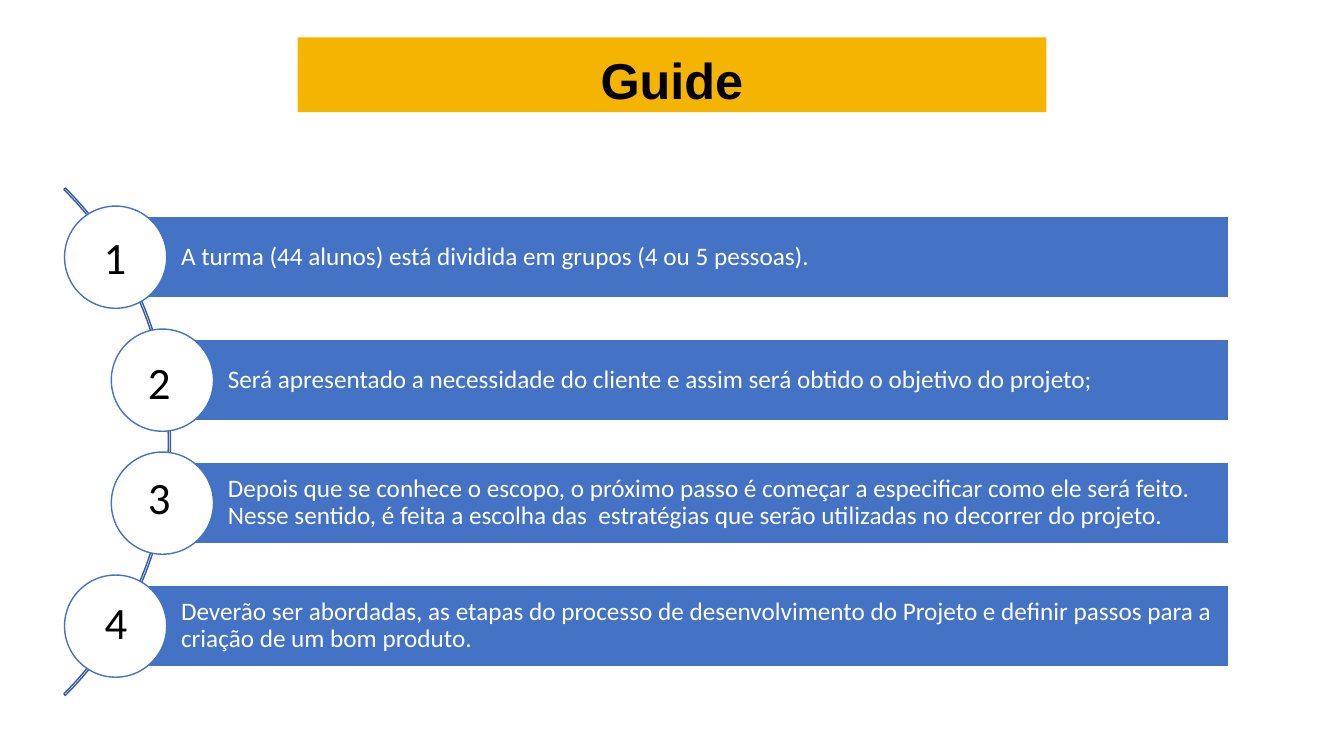
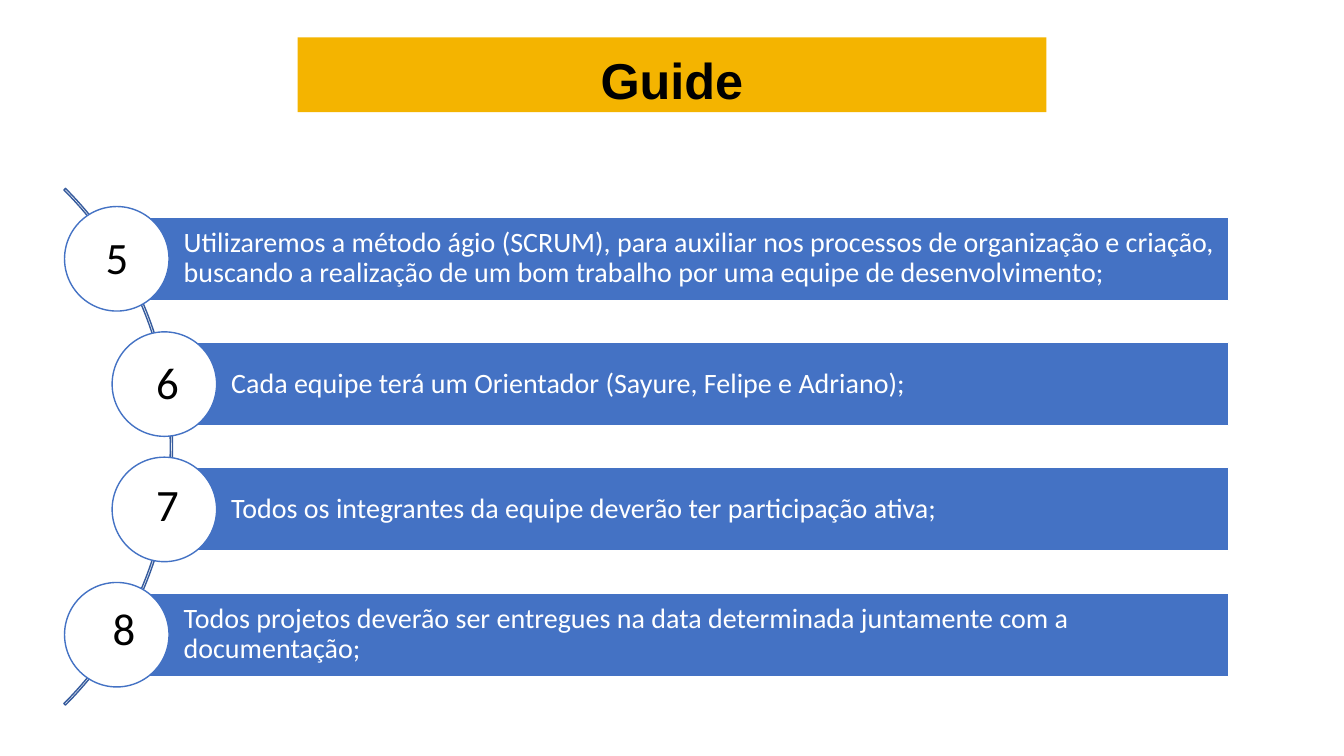
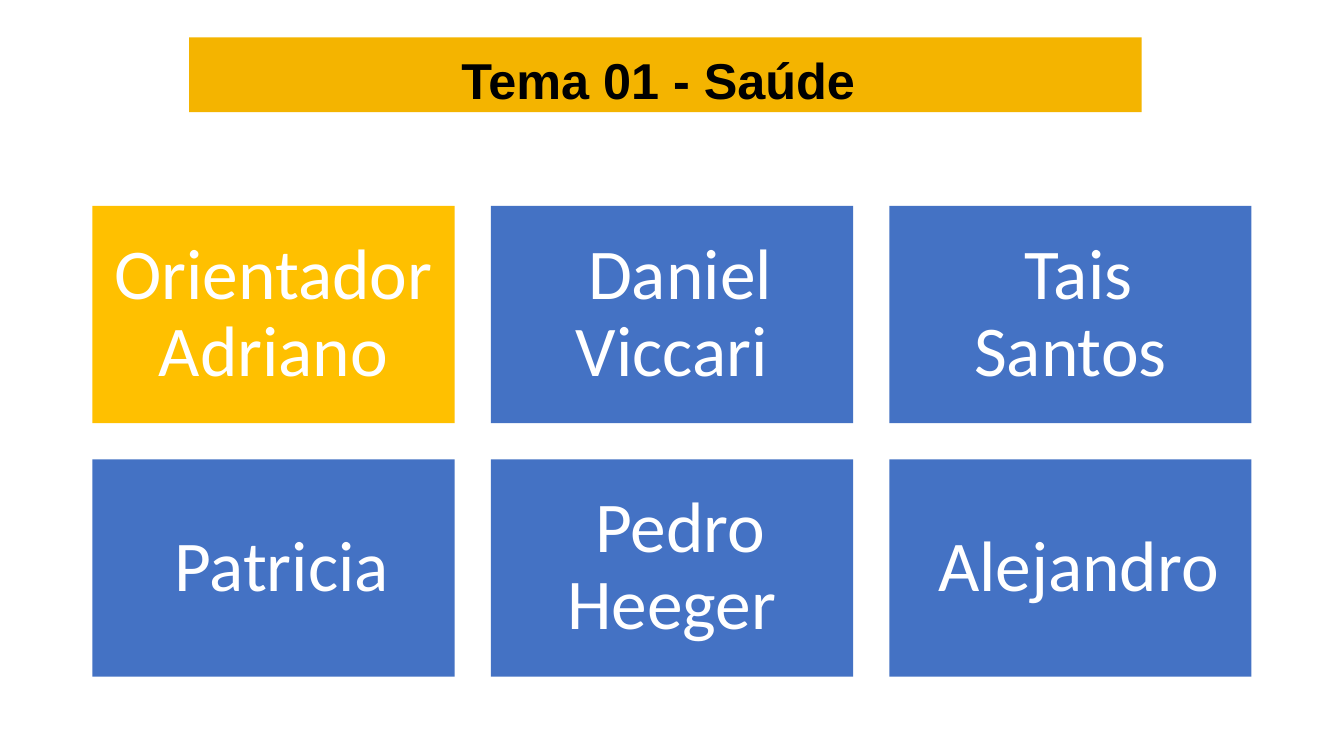
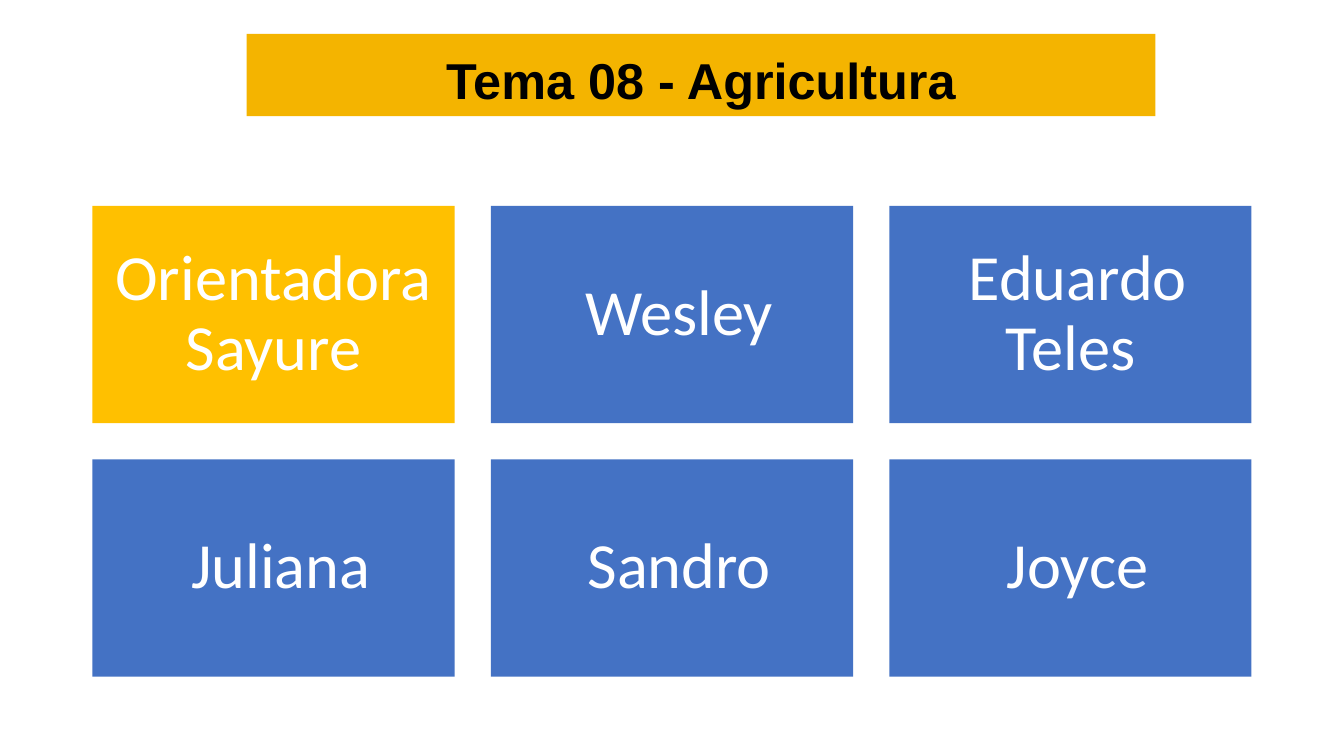
from pptx import Presentation
from pptx.dml.color import RGBColor
from pptx.enum.shapes import MSO_SHAPE
from pptx.enum.text import MSO_ANCHOR, MSO_AUTO_SIZE, PP_ALIGN
from pptx.util import Pt

COLORS = {
    "band": "F4B400", "blue": "4472C4", "gold": "FFC000",
    "arc": "365B9D", "white": "FFFFFF", "black": "000000",
}


def color(name):
    """Return the named colour."""
    return RGBColor.from_string(COLORS[name])


def write_text(shape, text, size, ink="white", font="Calibri", bold=False,
               align=PP_ALIGN.LEFT, spacing=1.0, anchor=MSO_ANCHOR.MIDDLE,
               insets=(7.2, 3.6, 7.2, 3.6), wrap=True):
    """Write one formatted paragraph into a shape."""
    frame = shape.text_frame
    frame.word_wrap = wrap
    frame.vertical_anchor = anchor
    (frame.margin_left, frame.margin_top,
     frame.margin_right, frame.margin_bottom) = map(Pt, insets)
    paragraph = frame.paragraphs[0]
    paragraph.alignment = align
    paragraph.line_spacing = spacing
    run = paragraph.add_run()
    run.text = text
    run.font.name = font
    run.font.size = Pt(size)
    run.font.bold = bold
    run.font.color.rgb = color(ink)


class Deck:
    """Hold the shared style and the current slide."""

    def __init__(self):
        """Start an empty widescreen presentation."""
        self.presentation = Presentation()
        self.presentation.slide_width = Pt(960)
        self.presentation.slide_height = Pt(540)
        self.slide = None

    def new_slide(self):
        """Add a blank slide and make it current."""
        layout = self.presentation.slide_layouts[6]
        self.slide = self.presentation.slides.add_slide(layout)

    def shape(self, kind, left, top, width, height, fill=None, line=None):
        """Add a flat preset shape."""
        shape = self.slide.shapes.add_shape(
            kind, Pt(left), Pt(top), Pt(width), Pt(height))
        shape.shadow.inherit = False
        if fill:
            shape.fill.solid()
            shape.fill.fore_color.rgb = color(fill)
        else:
            shape.fill.background()
        if line:
            shape.line.color.rgb = color(line)
            shape.line.width = Pt(1)
        else:
            shape.line.fill.background()
        return shape

    def title(self, text, left, width, top=26.8, height=53.4):
        """Add the yellow title band."""
        band = self.shape(MSO_SHAPE.RECTANGLE, left, top, width, height, "band")
        write_text(band, text, 36, ink="black", font="Arial", bold=True,
                   align=PP_ALIGN.CENTER, spacing=1.15, insets=(7.2,) * 4)

    def arc(self, right, middle, diameter):
        """Add the thin arc that the steps follow."""
        arc = self.shape(MSO_SHAPE.BLOCK_ARC, right - diameter,
                         middle - diameter / 2, diameter, diameter, line="arc")
        for index, value in enumerate((189, 27, 0.003)):
            arc.adjustments[index] = value

    def number(self, text, left, top):
        """Add a step number."""
        box = self.slide.shapes.add_textbox(Pt(left), Pt(top), Pt(31), Pt(46))
        write_text(box, text, 32, ink="black", anchor=MSO_ANCHOR.TOP, wrap=False)
        box.text_frame.auto_size = MSO_AUTO_SIZE.SHAPE_TO_FIT_TEXT

    def steps(self, steps, top, pitch, height, outer, inner, diameter, size):
        """Add four bars with numbered circles along the arc."""
        right = 877.7
        circle = 1.25 * height
        inset = 0.2 * size
        self.arc(inner + 5.8, top + (3 * pitch + height) / 2, diameter)
        for index, (text, *_) in enumerate(steps):
            left = inner if index in (1, 2) else outer
            bar_top = top + index * pitch
            bar = self.shape(MSO_SHAPE.RECTANGLE, left, bar_top,
                             right - left, height, "blue", "white")
            write_text(bar, text, size, spacing=0.9,
                       insets=(0.8 * height, inset, inset, inset))
            self.shape(MSO_SHAPE.OVAL, left - circle / 2,
                       bar_top + (height - circle) / 2,
                       circle, circle, "white", "blue")
        for _, number, number_left, number_top in steps:
            self.number(number, number_left, number_top)

    def cards(self, names, size):
        """Add a grid of name cards, three to a row, the first one gold."""
        width = 258.75
        height = 0.6 * width
        gap = 0.1 * width
        for index, name in enumerate(names):
            row, column = divmod(index, 3)
            card = self.shape(MSO_SHAPE.RECTANGLE, 66 + column * (width + gap),
                              147 + row * (height + gap), width, height,
                              "blue" if index else "gold")
            write_text(card, name, size, align=PP_ALIGN.CENTER, spacing=0.9,
                       insets=(0.3 * size,) * 4)


FIRST_STEPS = [
    ("A turma (44 alunos) está dividida em grupos (4 ou 5 pessoas).",
     "1", 67, 160.6),
    ("Será apresentado a necessidade do cliente e assim será obtido o "
     "objetivo do projeto;", "2", 98.6, 249.8),
    ("Depois que se conhece o escopo, o próximo passo é começar a especificar "
     "como ele será feito. Nesse sentido, é feita a escolha das  estratégias "
     "que serão utilizadas no decorrer do projeto.", "3", 98.6, 331.9),
    ("Deverão ser abordadas, as etapas do processo de desenvolvimento do "
     "Projeto e definir passos para a criação de um bom produto.",
     "4", 67.7, 421.2),
]
LAST_STEPS = [
    ("Utilizaremos a método ágio (SCRUM), para auxiliar nos processos de "
     "organização e criação, buscando a realização de um bom trabalho por uma "
     "equipe de desenvolvimento;", "5", 68.4, 160.6),
    ("Cada equipe terá um Orientador (Sayure, Felipe e Adriano);",
     "6", 104.4, 249.8),
    ("Todos os integrantes da equipe deverão ter participação ativa;",
     "7", 104.4, 337),
    ("Todos projetos deverão ser entregues na data determinada juntamente "
     "com a documentação;", "8", 73.4, 425.5),
]
HEALTH_TEAM = ["Orientador Adriano", " Daniel Viccari", " Tais Santos",
               " Patricia", " Pedro Heeger", " Alejandro"]
FARMING_TEAM = ["Orientadora Sayure", " Wesley", " Eduardo Teles",
                " Juliana", " Sandro", " Joyce"]


def main():
    """Build and save the four slides."""
    deck = Deck()
    for steps, layout in (
        (FIRST_STEPS, dict(top=154.5, pitch=87.85, height=58.4, outer=82.6,
                           inner=116, diameter=512.6, size=18)),
        (LAST_STEPS, dict(top=155, pitch=89.5, height=59.7, outer=83.4,
                          inner=117.4, diameter=522, size=20)),
    ):
        deck.new_slide()
        deck.steps(steps, **layout)
        deck.title("Guide", 212.6, 534.8)
    deck.new_slide()
    deck.title("Tema 01 - Saúde ", 135, 680.4)
    deck.cards(HEALTH_TEAM, 51)
    deck.new_slide()
    deck.title("Tema 08 - Agricultura", 176.2, 649.2, top=24.2, height=58.8)
    deck.cards(FARMING_TEAM, 46)
    deck.presentation.save("out.pptx")


if __name__ == "__main__":
    main()
